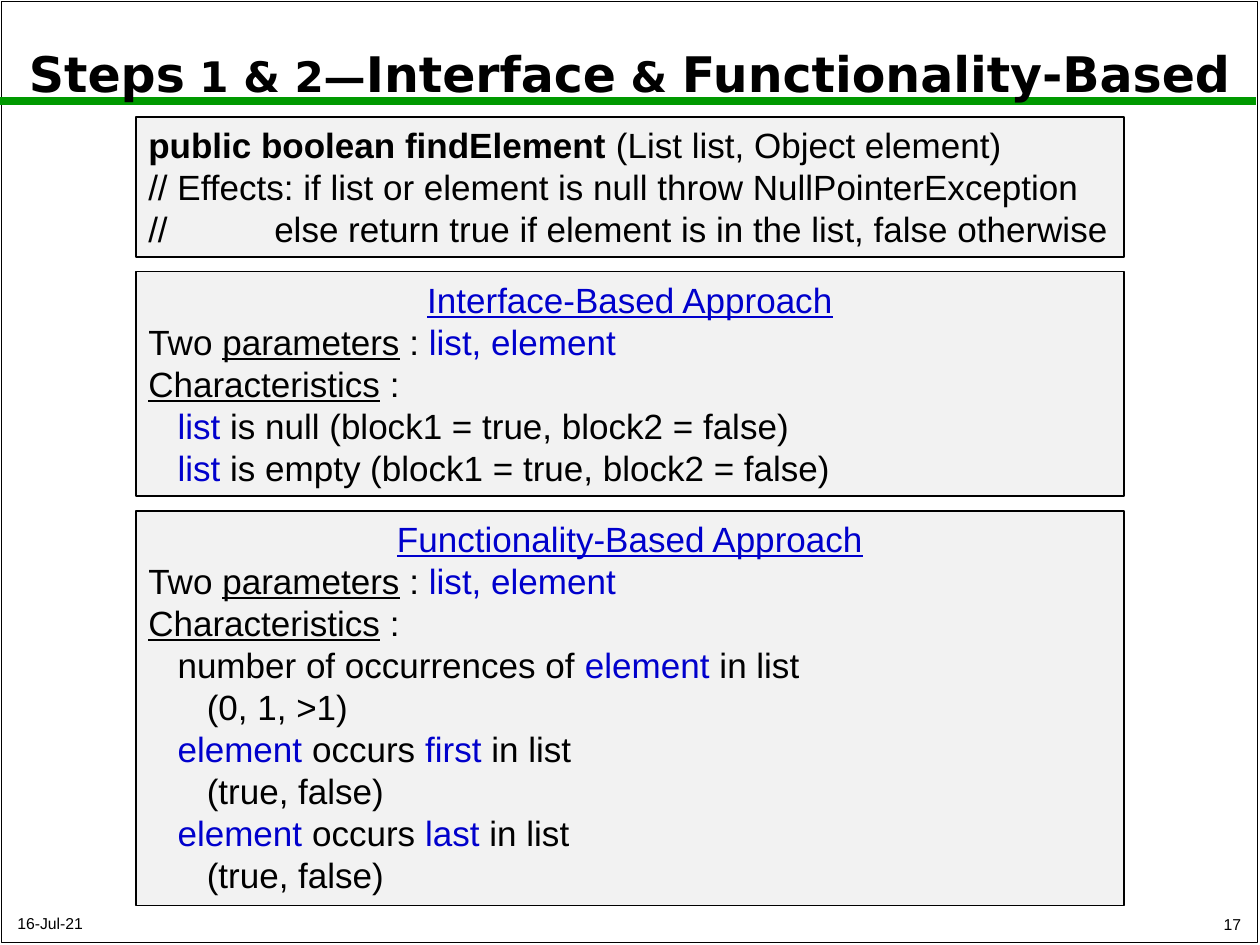
"""Builds the slide on interface-based and functionality-based input modelling."""
from lxml import etree
from pptx import Presentation, util as u
from pptx.dml.color import RGBColor
from pptx.enum import shapes, text
from pptx.oxml.ns import qn

BLACK = RGBColor(0x00, 0x00, 0x00)
BLUE = RGBColor(0x00, 0x00, 0xCC)
GREEN = RGBColor(0x00, 0x99, 0x00)
PANEL = RGBColor(0xF2, 0xF2, 0xF2)

LEFT, CENTER, RIGHT = text.PP_ALIGN.LEFT, text.PP_ALIGN.CENTER, text.PP_ALIGN.RIGHT
MIDDLE, BOTTOM = text.MSO_ANCHOR.MIDDLE, text.MSO_ANCHOR.BOTTOM
PLAIN, BOLD, UNDER = {}, {"bold": True}, {"underline": True}
TERM, HEADING = {"color": BLUE}, {"color": BLUE, "underline": True}


class SlideBuilder:
    """Holds the text style and the current slide."""

    font, size, indent, tab = "Arial", 20, 0.59, 2.54

    def __init__(self, slide):
        self.slide = slide

    def runs(self, paragraph, parts, font=None, size=None):
        for words, look in parts:
            run = paragraph.add_run()
            run.text = words
            run.font.name = font or self.font
            run.font.size = u.Pt(look.get("size", size or self.size))
            run.font.bold = look.get("bold", False)
            run.font.underline = look.get("underline", False)
            run.font.color.rgb = look.get("color", BLACK)

    def rectangle(self, place, line_width, fill=None):
        box = self.slide.shapes.add_shape(
            shapes.MSO_SHAPE.RECTANGLE, *map(u.Cm, place))
        box.shadow.inherit = False
        if fill is None:
            box.fill.background()
        else:
            box.fill.solid()
            box.fill.fore_color.rgb = fill
        box.line.color.rgb = BLACK
        box.line.width = u.Pt(line_width)
        return box

    def rule(self, start, end, color, width):
        rule = self.slide.shapes.add_connector(
            shapes.MSO_CONNECTOR.STRAIGHT, *map(u.Cm, start + end))
        rule.line.color.rgb = color
        rule.line.width = u.Pt(width)
        etree.SubElement(rule.element.spPr, qn("a:effectLst"))

    def label(self, place, parts, align, anchor, font=None, size=None, spacing=None):
        frame = self.slide.shapes.add_textbox(*map(u.Cm, place)).text_frame
        frame.word_wrap = True
        frame.vertical_anchor = anchor
        paragraph = frame.paragraphs[0]
        paragraph.alignment = align
        paragraph.line_spacing = spacing
        self.runs(paragraph, parts, font, size)

    def panel(self, top, height, lines):
        frame = self.rectangle((2.74, top, 19.92, height), 0.75, PANEL).text_frame
        frame.word_wrap = True
        frame.vertical_anchor = text.MSO_ANCHOR.TOP
        for number, (level, parts) in enumerate(lines):
            paragraph = frame.add_paragraph() if number else frame.paragraphs[0]
            paragraph.alignment = CENTER if parts[0][1] is HEADING else LEFT
            properties = paragraph._p.get_or_add_pPr()
            properties.set("marL", str(u.Cm(level * self.indent)))
            if any("\t" in words for words, _ in parts):
                tabs = etree.SubElement(properties, qn("a:tabLst"))
                etree.SubElement(tabs, qn("a:tab"), pos=str(u.Cm(self.tab)), algn="l")
            self.runs(paragraph, parts)


def approach(name, characteristics):
    return [
        (0, [(f"{name}-Based Approach", HEADING)]),
        (0, [("Two ", PLAIN), ("parameters", UNDER), (" : ", PLAIN),
             ("list, element", TERM)]),
        (0, [("Characteristics", UNDER), (" :", PLAIN)]),
    ] + characteristics


def list_is(state):
    return 1, [("list ", TERM), (f"is {state} (block1 = true, block2 = false)", PLAIN)]


def element_occurs(position):
    return [
        (1, [("element ", TERM), ("occurs ", PLAIN), (f"{position} ", TERM),
             ("in list", PLAIN)]),
        (2, [("(true, false)", PLAIN)]),
    ]


def main():
    deck = Presentation()
    deck.slide_width, deck.slide_height = u.Cm(25.4), u.Cm(19.05)
    builder = SlideBuilder(deck.slides.add_slide(deck.slide_layouts[6]))

    builder.rectangle((0.03, 0.03, 25.32, 18.97), 1)
    builder.rule((0, 2.03), (25.32, 2.03), GREEN, 4.5)
    builder.label((19.99, 18.21, 5.28, 0.74), [("17", PLAIN)], RIGHT, BOTTOM, size=9)

    large, small = {"bold": True, "size": 28}, {"bold": True, "size": 24}
    title = [("Steps", large), (" 1 & 2—", small), ("Interface", large),
             (" & ", small), ("Functionality-Based", large)]
    builder.label((0.23, 0.28, 24.92, 2.54), title, CENTER, MIDDLE,
                  font="DejaVu Sans", spacing=0.9)

    builder.panel(2.36, 2.82, [
        (0, [("public boolean findElement ", BOLD),
             ("(List list, Object element)", PLAIN)]),
        (0, [("// Effects: if list or element is null throw NullPointerException",
              PLAIN)]),
        (0, [("//\telse return true if element is in the list, false otherwise",
              PLAIN)]),
    ])
    builder.panel(5.48, 4.52, approach("Interface", [list_is("null"), list_is("empty")]))
    occurrences = [
        (1, [("number of occurrences of ", PLAIN), ("element ", TERM),
             ("in list", PLAIN)]),
        (2, [("(0, 1, >1)", PLAIN)]),
    ]
    builder.panel(10.3, 7.95, approach(
        "Functionality", occurrences + element_occurs("first") + element_occurs("last")))

    builder.label((0.1, 18.24, 10.67, 0.69), [("16-Jul-21", PLAIN)], LEFT, BOTTOM, size=9)
    deck.save("out.pptx")


if __name__ == "__main__":
    main()
